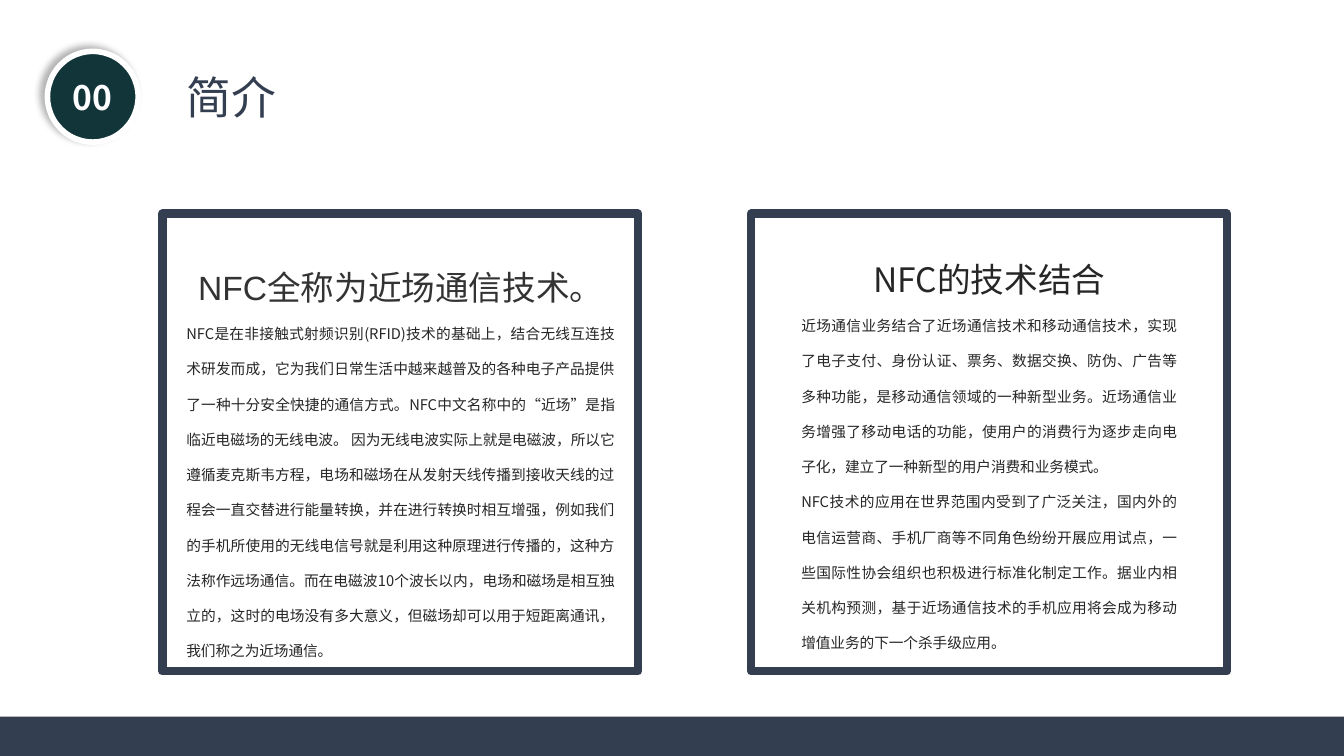
from lxml.etree import SubElement
from pptx import Presentation
from pptx.dml.color import RGBColor as Rgb
from pptx.enum.shapes import MSO_SHAPE as Shape
from pptx.enum.text import MSO_ANCHOR as Anchor, PP_ALIGN as Align
from pptx.oxml.ns import qn
from pptx.util import Inches, Pt

THEME = {
    "navy": "333E50", "teal": "123539", "white": "FFFFFF", "black": "000000",
    "ink": "262626", "grey": "333333",
    "title": 32, "heading": 24, "body": 10.5,
    "font": "Noto Sans CJK SC", "latin": "Arial",
}

deck = Presentation()
deck.slide_width, deck.slide_height = Inches(13.33), Inches(7.5)
COL, ROW = deck.slide_width / 100, deck.slide_height / 100
slide = deck.slides.add_slide(deck.slide_layouts[6])


def draw(kind, area, fill=None, line=None, weight=0):
    left, top, width, height = area
    shape = slide.shapes.add_shape(
        kind, int(left * COL), int(top * ROW), int(width * COL), int(height * ROW))
    shape.shadow.inherit = False
    for paint, colour in ((shape.fill, fill), (shape.line.fill, line)):
        if colour:
            paint.solid()
            paint.fore_color.rgb = Rgb.from_string(THEME[colour])
        else:
            paint.background()
    if line:
        shape.line.width = Pt(weight)
    return shape


def write(text, frame, first=True, size="body", colour="ink", font="font",
          align=Align.LEFT, spacing=1, bold=False):
    frame.word_wrap = True
    paragraph = frame.paragraphs[0] if first else frame.add_paragraph()
    paragraph.alignment, paragraph.line_spacing = align, spacing
    run = paragraph.add_run()
    run.text = text
    run.font.size, run.font.bold = Pt(THEME[size]), bold
    run.font.color.rgb = Rgb.from_string(THEME[colour])
    run.font.name = THEME[font]
    SubElement(run.font._element, qn("a:ea"), typeface=THEME["font"])


topics = [
    (12.08, (13.13, 29.33, 33.38, 58.53), "NFC全称为近场通信技术。", "latin", "grey", [
        "NFC是在非接触式射频识别(RFID)技术的基础上，结合无线互连技术研发而成，"
        "它为我们日常生活中越来越普及的各种电子产品提供了一种十分安全快捷的通信方式。"
        "NFC中文名称中的“近场”是指临近电磁场的无线电波。 因为无线电波实际上就是电磁波，"
        "所以它遵循麦克斯韦方程，电场和磁场在从发射天线传播到接收天线的过程会一直交替进行能量转换，"
        "并在进行转换时相互增强，例如我们的手机所使用的无线电信号就是利用这种原理进行传播的，"
        "这种方法称作远场通信。而在电磁波10个波长以内，电场和磁场是相互独立的，"
        "这时的电场没有多大意义，但磁场却可以用于短距离通讯，我们称之为近场通信。",
    ]),
    (55.88, (58.88, 28.27, 29.48, 58.53), "NFC的技术结合", "font", "ink", [
        "近场通信业务结合了近场通信技术和移动通信技术，实现了电子支付、身份认证、票务、"
        "数据交换、防伪、广告等多种功能，是移动通信领域的一种新型业务。"
        "近场通信业务增强了移动电话的功能，使用户的消费行为逐步走向电子化，"
        "建立了一种新型的用户消费和业务模式。",
        "NFC技术的应用在世界范围内受到了广泛关注，国内外的电信运营商、手机厂商等不同角色"
        "纷纷开展应用试点，一些国际性协会组织也积极进行标准化制定工作。"
        "据业内相关机构预测，基于近场通信技术的手机应用将会成为移动增值业务的下一个杀手级应用。",
    ]),
]
for frame_left, (left, top, width, height), heading, font, colour, passages in topics:
    draw(Shape.RECTANGLE, (frame_left, 28.27, 35.4, 60.53), line="navy", weight=6)
    story = slide.shapes.add_textbox(
        int(left * COL), int(top * ROW), int(width * COL), int(height * ROW)).text_frame
    write(heading, story, size="heading", colour=colour, font=font,
          align=Align.CENTER, spacing=2)
    for passage in passages:
        write(passage, story, first=False, align=Align.JUSTIFY, spacing=2)

badge = draw(Shape.OVAL, (3.53, 6.8, 6.75, 12), fill="teal", line="white", weight=4)
badge.text_frame.vertical_anchor = Anchor.MIDDLE
write("00", badge.text_frame, size="heading", colour="white", align=Align.CENTER, bold=True)
glow = SubElement(
    badge._element.spPr.find(qn("a:effectLst")), qn("a:outerShdw"),
    blurRad=str(Pt(5.1)), dist=str(Pt(4)), dir=str(215 * 60000),
    algn="ctr", rotWithShape="0")
shade = SubElement(glow, qn("a:srgbClr"), val=THEME["black"])
SubElement(shade, qn("a:alpha"), val="30000")

title = slide.shapes.add_textbox(
    int(13.13 * COL), int(8.53 * ROW), int(25.43 * COL), int(8.53 * ROW)).text_frame
write("简介", title, size="title", colour="navy")

draw(Shape.RECTANGLE, (0, 94.8, 100, 5.2), fill="navy")

deck.save("out.pptx")
